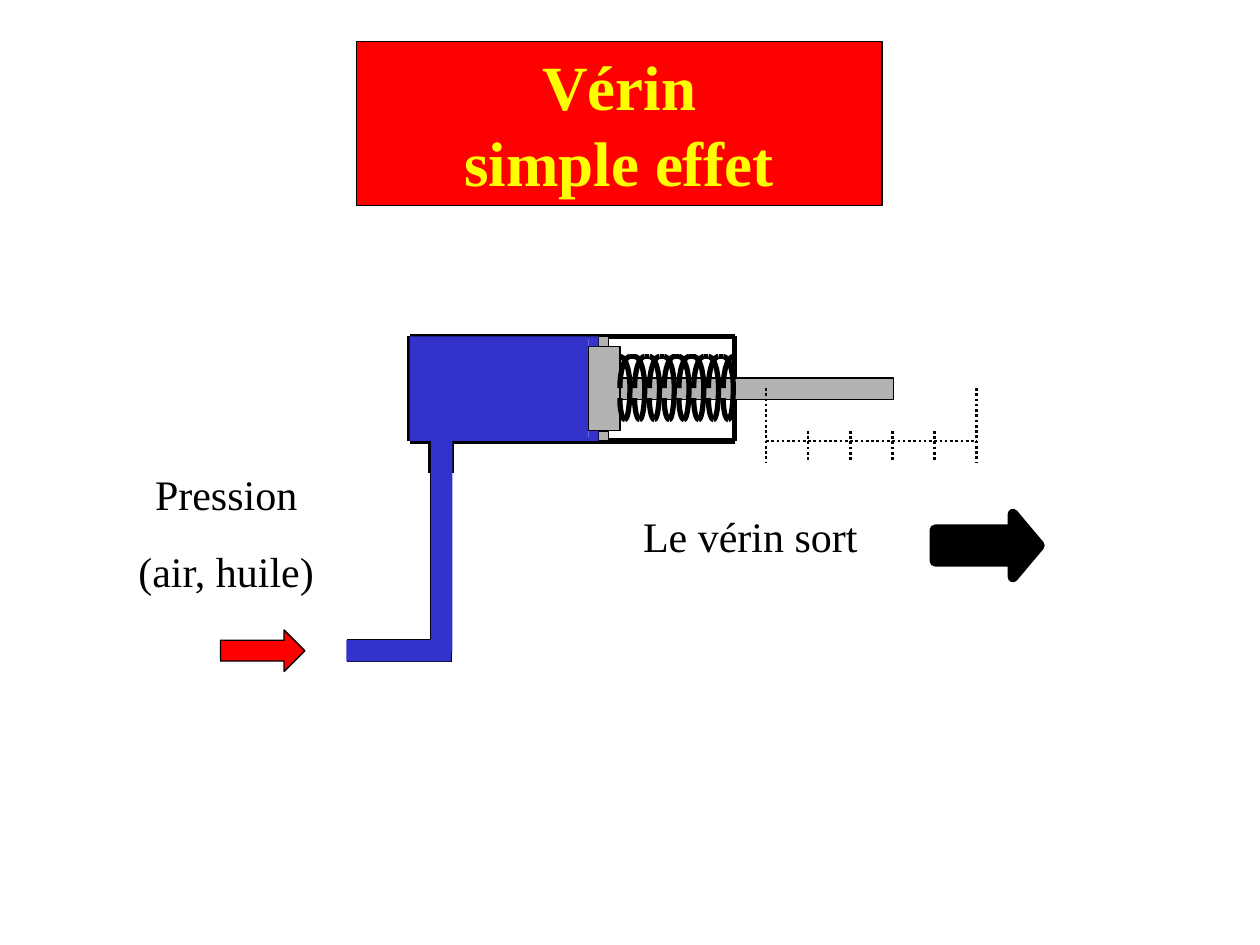
from dataclasses import dataclass
from math import cos, pi, sin

from lxml.etree import SubElement
from pptx import Presentation
from pptx.dml.color import RGBColor
from pptx.enum.dml import MSO_LINE
from pptx.enum.shapes import MSO_CONNECTOR, MSO_SHAPE
from pptx.enum.text import MSO_ANCHOR, PP_ALIGN
from pptx.oxml.ns import qn
from pptx.util import Inches, Pt


@dataclass(frozen=True)
class Theme:
    font: str = "Times New Roman"
    black: RGBColor = RGBColor(0x00, 0x00, 0x00)
    red: RGBColor = RGBColor(0xFF, 0x00, 0x00)
    yellow: RGBColor = RGBColor(0xFF, 0xFF, 0x00)
    fluid: RGBColor = RGBColor(0x33, 0x33, 0xCC)
    metal: RGBColor = RGBColor(0xB2, 0xB2, 0xB2)
    title_size: float = 36
    label_size: float = 24
    thin: float = 0.75
    dotted: float = 1.5
    thick: float = 3
    heavy: float = 6


THEME = Theme()


def style_line(line, width, color=THEME.black):
    line.color.rgb = color
    line.width = Pt(width)


def style_text(text_frame, size, color, space_before, bold=False):
    text_frame.word_wrap = True
    text_frame.vertical_anchor = MSO_ANCHOR.TOP
    for paragraph in text_frame.paragraphs:
        paragraph.alignment = PP_ALIGN.CENTER
        paragraph.space_before = Pt(space_before)
        for run in paragraph.runs:
            run.font.name = THEME.font
            run.font.size = Pt(size)
            run.font.bold = bold
            run.font.color.rgb = color


def add_title(slide, text, left, top, width, height):
    title = slide.shapes.title
    title.left, title.top = Inches(left), Inches(top)
    title.width, title.height = Inches(width), Inches(height)
    title.fill.solid()
    title.fill.fore_color.rgb = THEME.red
    style_line(title.line, THEME.thin)
    title.text_frame.text = text
    style_text(title.text_frame, THEME.title_size, THEME.yellow, 22.5, bold=True)


def add_label(slide, text, left, top, width, height):
    label = slide.shapes.add_textbox(Inches(left), Inches(top), Inches(width), Inches(height))
    label.text_frame.text = text
    style_text(label.text_frame, THEME.label_size, THEME.black, 15)


def add_block(slide, box, fill, line_width=None, preset=MSO_SHAPE.RECTANGLE):
    shape = slide.shapes.add_shape(preset, *(Inches(value) for value in box))
    shape.shadow.inherit = False
    shape.fill.solid()
    shape.fill.fore_color.rgb = fill
    if line_width is None:
        shape.line.fill.background()
    else:
        style_line(shape.line, line_width)
    return shape


def add_line(slide, start, end, width, dash=None):
    connector = slide.shapes.add_connector(
        MSO_CONNECTOR.STRAIGHT, *(Inches(value) for value in (*start, *end))
    )
    style_line(connector.line, width)
    if dash is not None:
        connector.line.dash_style = dash
    SubElement(connector._element.spPr, qn("a:effectLst"))


def add_arc(slide, center, radii, start_angle, end_angle, steps=12):
    points = []
    for step in range(steps + 1):
        angle = start_angle + (end_angle - start_angle) * step / steps
        points.append((
            Inches(center[0] + radii[0] * cos(angle)),
            Inches(center[1] + radii[1] * sin(angle)),
        ))
    builder = slide.shapes.build_freeform(*points[0])
    builder.add_line_segments(points[1:], close=False)
    arc = builder.convert_to_shape()
    arc.shadow.inherit = False
    arc.fill.background()
    style_line(arc.line, THEME.thick)


def add_cylinder_walls(slide):
    for start, end in (
        ((3.58, 3.5), (5.83, 3.5)),
        ((3.58, 3.5), (3.58, 3.75)),
        ((3.42, 3.5), (3.42, 3.75)),
        ((5.83, 2.67), (3.25, 2.67)),
        ((3.25, 2.67), (3.25, 3.5)),
        ((3.25, 3.5), (3.42, 3.5)),
    ):
        add_line(slide, start, end, THEME.thick)


def add_pipe_walls(slide):
    for x, corner_y in ((3.42, 5.08), (3.58, 5.25)):
        add_line(slide, (x, 3.75), (x, corner_y), THEME.thin)
        add_line(slide, (x, corner_y), (2.75, corner_y), THEME.thin)


def add_fluid(slide):
    for box in ((2.75, 5.08, 0.83, 0.17), (3.42, 3.5, 0.17, 1.67), (3.25, 2.67, 1.42, 0.83)):
        add_block(slide, box, THEME.fluid)


def add_piston(slide):
    seal_tops = (2.67, 3.42)
    add_block(slide, (4.67, 2.75, 0.25, 0.67), THEME.metal, THEME.thin)
    for top in seal_tops:
        add_block(slide, (4.75, top, 0.08, 0.08), THEME.metal, THEME.thin)
    add_block(slide, (4.92, 3, 2.17, 0.17), THEME.metal, THEME.thin)
    for top in seal_tops:
        add_block(slide, (4.67, top, 0.08, 0.08), THEME.fluid)


def add_spring(slide, left=4.92, right=5.82, top=2.83, coils=8):
    coil_width = 0.08
    half = coil_width / 2
    pitch = (right - left - coil_width) / (coils - 1)
    middle = top + 0.25
    for index in range(coils):
        x = left + index * pitch
        add_arc(slide, (x, middle), (coil_width, 0.25), -pi / 2, 0)
        add_arc(slide, (x + half, middle), (half, 0.25), pi / 2, 0)
        add_arc(slide, (x + half, middle + 0.08), (half, 0.17), pi / 2, pi)
        add_arc(slide, (x + coil_width, middle), (coil_width, 0.25), -pi / 2, -pi)
        if index < coils - 1:
            add_line(slide, (x + coil_width, top), (x + pitch, top), THEME.thick)


def add_stroke_scale(slide, left=6.08, right=7.75, y=3.5, divisions=5):
    add_line(slide, (left, y), (right, y), THEME.dotted, MSO_LINE.ROUND_DOT)
    for index in range(divisions + 1):
        x = left + (right - left) * index / divisions
        tick_top = 3.08 if index in (0, divisions) else 3.42
        add_line(slide, (x, tick_top), (x, 3.67), THEME.dotted, MSO_LINE.ROUND_DOT)


def main():
    presentation = Presentation()
    presentation.slide_width, presentation.slide_height = Inches(10), Inches(7.5)
    slide = presentation.slides.add_slide(presentation.slide_layouts[5])

    add_title(slide, "Vérin\vsimple effet", 2.83, 0.33, 4.17, 1.3)
    add_cylinder_walls(slide)
    add_pipe_walls(slide)
    add_block(slide, (1.75, 5, 0.67, 0.33), THEME.red, THEME.thin, MSO_SHAPE.RIGHT_ARROW)
    add_label(slide, "Pression\n(air, huile)", 0.92, 3.67, 1.75, 1.11)
    add_fluid(slide)
    add_line(slide, (5.83, 3.5), (5.83, 2.67), THEME.thick)
    add_piston(slide)
    add_spring(slide)
    add_stroke_scale(slide)
    exit_arrow = add_block(
        slide, (7.42, 4.08, 0.83, 0.5), THEME.black, THEME.heavy, MSO_SHAPE.RIGHT_ARROW
    )
    exit_arrow.adjustments[1] = 0.42
    add_label(slide, "Le vérin sort", 4.83, 4, 2.25, 0.5)
    presentation.save("out.pptx")


if __name__ == "__main__":
    main()
